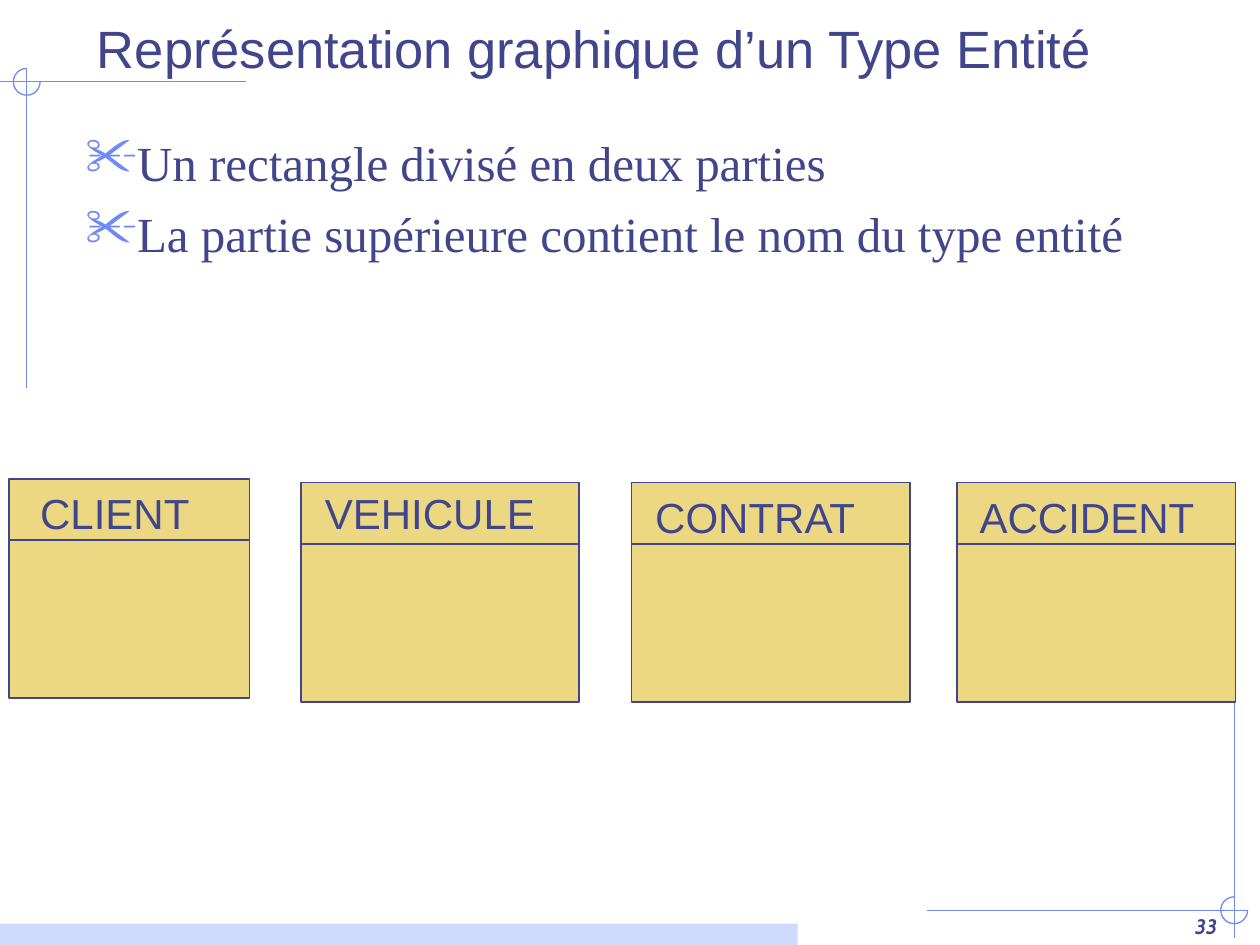
from dataclasses import dataclass

from lxml.etree import SubElement
from pptx import Presentation
from pptx.dml.color import RGBColor
from pptx.enum.shapes import MSO_CONNECTOR, MSO_SHAPE
from pptx.enum.text import MSO_ANCHOR, MSO_AUTO_SIZE, PP_ALIGN
from pptx.oxml.ns import qn
from pptx.util import Cm, Pt


@dataclass(frozen=True)
class Theme:
    """Colours, fonts and sizes of the slide."""

    ink: str = "40458C"
    accent: str = "6F89F7"
    band: str = "CFDBFD"
    entity: str = "ECD882"
    heading_font: str = "Arial"
    body_font: str = "Times New Roman"
    number_font: str = "Cabin"
    title_size: int = 30
    body_size: int = 28
    entity_size: int = 24
    number_size: int = 12
    rule_width: float = 0.75
    entity_line_width: float = 1


@dataclass(frozen=True)
class Box:
    """A rectangle in centimetres."""

    left: float
    top: float
    width: float
    height: float

    def lengths(self):
        """Return the four sides as lengths."""
        return Cm(self.left), Cm(self.top), Cm(self.width), Cm(self.height)


THEME = Theme()


def color(value):
    """Turn a hexadecimal value into a colour."""
    return RGBColor.from_string(value)


def add_run(paragraph, text, font_name, size, bold=False, italic=False):
    """Add a formatted run in the ink colour."""
    run = paragraph.add_run()
    run.text = text
    run.font.name = font_name
    run.font.size = Pt(size)
    run.font.bold = bold
    run.font.italic = italic
    run.font.color.rgb = color(THEME.ink)


def add_rule(slide, start, end, line_color, width):
    """Draw a straight line without a shadow."""
    connector = slide.shapes.add_connector(
        MSO_CONNECTOR.STRAIGHT, *(Cm(value) for value in (*start, *end))
    )
    connector.line.color.rgb = color(line_color)
    connector.line.width = Pt(width)
    SubElement(connector._element.spPr, qn("a:effectLst"))


def add_rectangle(slide, box, fill):
    """Draw a filled rectangle without a line or shadow."""
    shape = slide.shapes.add_shape(MSO_SHAPE.RECTANGLE, *box.lengths())
    shape.shadow.inherit = False
    shape.fill.solid()
    shape.fill.fore_color.rgb = color(fill)
    shape.line.fill.background()
    return shape


def add_corner(slide, box, center):
    """Cross two rules over the box and ring their crossing."""
    x, y = center
    diameter = 0.54
    right, bottom = box.left + box.width, box.top + box.height
    for start, end in (((box.left, y), (right, y)), ((x, box.top), (x, bottom))):
        add_rule(slide, start, end, THEME.accent, THEME.rule_width)
    ring = Box(x - diameter / 2, y - diameter / 2, diameter, diameter)
    arc = slide.shapes.add_shape(MSO_SHAPE.ARC, *ring.lengths())
    arc.adjustments[0] = 0
    arc.adjustments[1] = 162
    arc.shadow.inherit = False
    arc.fill.background()
    arc.line.color.rgb = color(THEME.accent)
    arc.line.width = Pt(THEME.rule_width)


def add_title(slide, box, text):
    """Place and format the title placeholder."""
    title = slide.shapes.title
    title.left, title.top, title.width, title.height = box.lengths()
    title.text_frame.vertical_anchor = MSO_ANCHOR.BOTTOM
    title.text_frame.auto_size = MSO_AUTO_SIZE.NONE
    paragraph = title.text_frame.paragraphs[0]
    paragraph.alignment = PP_ALIGN.LEFT
    add_run(paragraph, text, THEME.heading_font, THEME.title_size)


def add_bullet(paragraph):
    """Give a paragraph a hanging scissors bullet."""
    properties = paragraph._p.get_or_add_pPr()
    indent = Cm(0.95)
    properties.set("marL", str(indent))
    properties.set("indent", str(-indent))
    bullet_color = SubElement(properties, qn("a:buClr"))
    SubElement(bullet_color, qn("a:srgbClr"), val=THEME.accent)
    SubElement(properties, qn("a:buSzPct"), val="110000")
    SubElement(properties, qn("a:buChar"), char="✂")


def add_bullets(slide, box, texts):
    """Write the bulleted statements."""
    frame = slide.shapes.add_textbox(*box.lengths()).text_frame
    frame.word_wrap = True
    for index, text in enumerate(texts):
        paragraph = frame.add_paragraph() if index else frame.paragraphs[0]
        add_bullet(paragraph)
        paragraph.alignment = PP_ALIGN.JUSTIFY
        paragraph.space_before = Pt(7 if index else 0)
        add_run(paragraph, text, THEME.body_font, THEME.body_size)


def add_entity(slide, box, name, label):
    """Draw an entity type with its name above the divider."""
    shape = add_rectangle(slide, box, THEME.entity)
    shape.line.color.rgb = color(THEME.ink)
    shape.line.width = Pt(THEME.entity_line_width)
    divider = box.top + 1.24
    add_rule(
        slide,
        (box.left, divider),
        (box.left + box.width, divider),
        THEME.ink,
        THEME.entity_line_width,
    )
    label_box = Box(box.left + label.left, box.top + label.top, label.width, label.height)
    frame = slide.shapes.add_textbox(*label_box.lengths()).text_frame
    frame.word_wrap = False
    frame.auto_size = MSO_AUTO_SIZE.SHAPE_TO_FIT_TEXT
    add_run(frame.paragraphs[0], name, THEME.heading_font, THEME.entity_size)


def add_slide_number(slide, box, number):
    """Write the slide number at the lower right."""
    frame = slide.shapes.add_textbox(*box.lengths()).text_frame
    frame.word_wrap = True
    frame.vertical_anchor = MSO_ANCHOR.BOTTOM
    paragraph = frame.paragraphs[0]
    paragraph.alignment = PP_ALIGN.RIGHT
    add_run(paragraph, number, THEME.number_font, THEME.number_size, True, True)


def main():
    """Build and save the presentation."""
    presentation = Presentation()
    presentation.slide_width, presentation.slide_height = Cm(25.4), Cm(19.05)
    slide = presentation.slides.add_slide(presentation.slide_layouts[5])
    add_corner(slide, Box(0, 1.4, 4.95, 6.42), (0.54, 1.65))
    add_corner(slide, Box(18.69, 13.94, 6.46, 4.96), (24.88, 18.35))
    add_rectangle(slide, Box(0, 18.62, 16.08, 0.43), THEME.band)
    add_slide_number(slide, Box(19.51, 17.78, 5.28, 1.27), "33")
    add_title(slide, Box(1.7, 0.03, 23.06, 1.7), "Représentation graphique d’un Type Entité")
    add_bullets(
        slide,
        Box(1.47, 2.54, 22.66, 15.27),
        (
            "Un rectangle divisé en deux parties",
            "La partie supérieure contient le nom du type entité",
        ),
    )
    entities = (
        ("CLIENT", Box(0.18, 9.65, 4.85, 4.42), Box(0.38, 0.05, 3.51, 1.27)),
        ("VEHICULE", Box(6.07, 9.73, 5.61, 4.42), Box(0.23, -0.03, 4.75, 1.27)),
        ("CONTRAT", Box(12.73, 9.73, 5.61, 4.42), Box(0.23, 0.05, 4.6, 1.27)),
        ("ACCIDENT", Box(19.3, 9.73, 5.61, 4.42), Box(0.2, 0.05, 4.83, 1.27)),
    )
    for name, box, label in entities:
        add_entity(slide, box, name, label)
    presentation.save("out.pptx")


if __name__ == "__main__":
    main()
